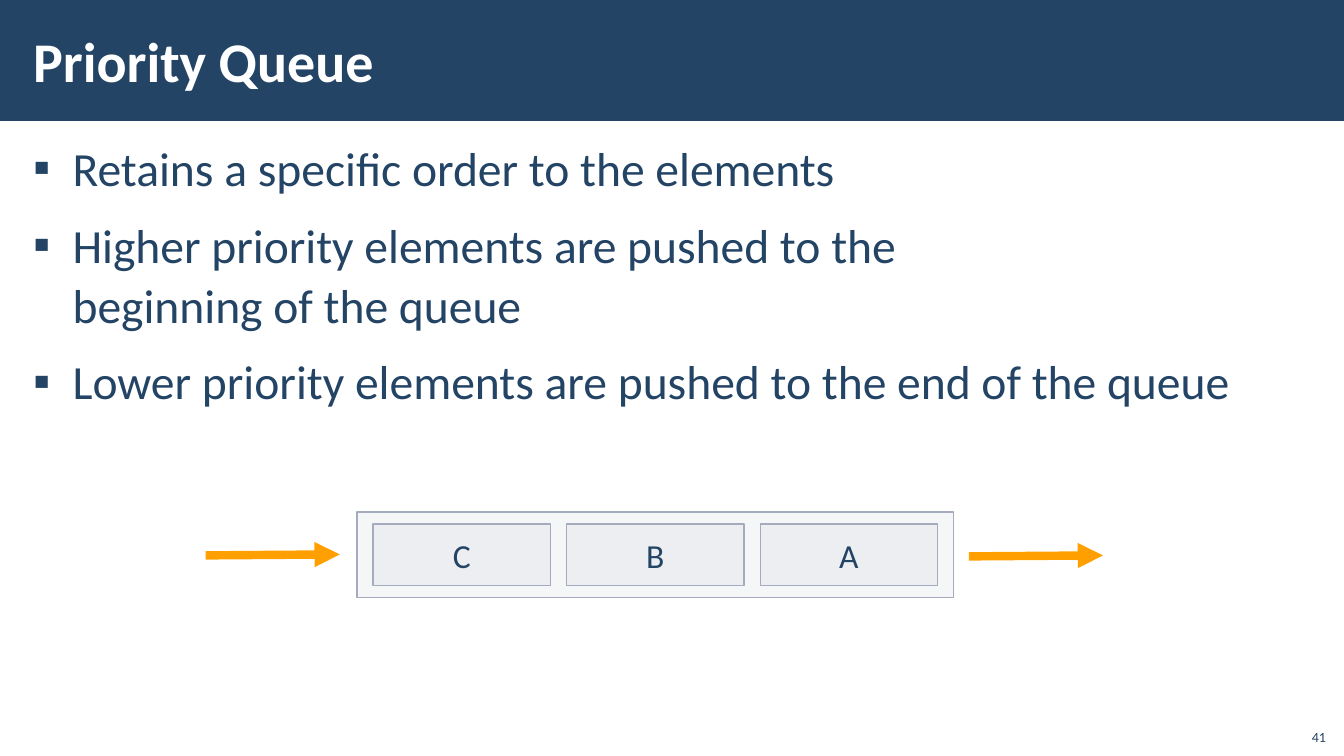
from lxml.etree import SubElement
from pptx import Presentation
from pptx.dml.color import RGBColor
from pptx.enum.shapes import MSO_CONNECTOR, MSO_SHAPE
from pptx.enum.text import MSO_ANCHOR, PP_ALIGN
from pptx.oxml.ns import qn
from pptx.util import Inches, Pt

NAVY = RGBColor(0x23, 0x44, 0x65)
WHITE = RGBColor(0xFF, 0xFF, 0xFF)
PALE = RGBColor(0xC2, 0xC7, 0xD2)
BORDER = RGBColor(0xA3, 0xAB, 0xBC)
ORANGE = RGBColor(0xFF, 0xA0, 0x00)
FONT = "Calibri"

POINTS = [
    "Retains a specific order to the elements",
    "Higher priority elements are pushed to the\nbeginning of the queue",
    "Lower priority elements are pushed to the end of the queue",
]
ELEMENTS = ["C", "B", "A"]


def style_text(paragraph, size, color=NAVY, bold=False, align=PP_ALIGN.LEFT):
    paragraph.alignment = align
    for run in paragraph.runs:
        run.font.name = FONT
        run.font.size = Pt(size)
        run.font.bold = bold
        run.font.color.rgb = color


def set_frame(frame, side, edge, anchor):
    frame.word_wrap = True
    frame.margin_left = frame.margin_right = Inches(side)
    frame.margin_top = frame.margin_bottom = Inches(edge)
    frame.vertical_anchor = anchor


def add_words(slide, left, top, width, height, side=0.12, edge=0.04, anchor=MSO_ANCHOR.TOP):
    words = slide.shapes.add_textbox(Inches(left), Inches(top), Inches(width), Inches(height))
    set_frame(words.text_frame, side, edge, anchor)
    return words.text_frame


def add_block(slide, left, top, width, height):
    block = slide.shapes.add_shape(
        MSO_SHAPE.RECTANGLE, Inches(left), Inches(top), Inches(width), Inches(height))
    block.shadow.inherit = False
    block.fill.solid()
    return block


def add_pale_block(slide, left, top, width, height):
    block = add_block(slide, left, top, width, height)
    block.fill.fore_color.rgb = PALE
    color = block.fill._xPr.find(qn("a:solidFill"))[0]
    SubElement(color, qn("a:alpha"), val="15000")
    block.line.color.rgb = BORDER
    block.line.width = Pt(1)
    return block


def add_arrow(slide, left, y, length):
    arrow = slide.shapes.add_connector(
        MSO_CONNECTOR.STRAIGHT, Inches(left), Inches(y), Inches(left + length), Inches(y - 0.01))
    arrow.line.color.rgb = ORANGE
    arrow.line.width = Pt(6)
    SubElement(arrow.line._get_or_add_ln(), qn("a:tailEnd"), type="triangle")
    SubElement(arrow._element.spPr, qn("a:effectLst"))


def add_header(slide, left, top, width, height):
    band = add_block(slide, left, top, width, height)
    band.fill.fore_color.rgb = NAVY
    band.line.fill.background()
    title = add_words(slide, left + 0.21, top + 0.11, 10.63, 0.97, anchor=MSO_ANCHOR.MIDDLE)
    title.text = "Priority Queue"
    style_text(title.paragraphs[0], 40, WHITE, bold=True)


def add_points(slide, left, top, width, height):
    body = add_words(slide, left, top, width, height)
    for index, point in enumerate(POINTS):
        paragraph = body.add_paragraph() if index else body.paragraphs[0]
        paragraph.text = point
        paragraph.line_spacing = 1.05
        paragraph.space_before = paragraph.space_after = Pt(6)
        style_text(paragraph, 34)
        properties = paragraph._p.get_or_add_pPr()
        properties.set("marL", str(Inches(0.39)))
        properties.set("indent", str(-Inches(0.39)))
        SubElement(properties, qn("a:buFont"), typeface=FONT)
        SubElement(properties, qn("a:buChar"), char="▪")


def add_queue(slide, left, top, width, height):
    add_pale_block(slide, left, top, width, height)
    pad, gap, cell_height = 0.16, 0.16, 0.61
    cell_width = (width - 2 * pad - (len(ELEMENTS) - 1) * gap) / len(ELEMENTS)
    for index, element in enumerate(ELEMENTS):
        cell = add_pale_block(
            slide, left + pad + index * (cell_width + gap),
            top + (height - cell_height) / 2, cell_width, cell_height)
        set_frame(cell.text_frame, 0.2, 0.1, MSO_ANCHOR.MIDDLE)
        cell.text_frame.text = element
        style_text(cell.text_frame.paragraphs[0], 24, align=PP_ALIGN.CENTER)
    arrow_length = 1.33
    add_arrow(slide, left - 0.17 - arrow_length, top + 0.43, arrow_length)
    add_arrow(slide, left + width + 0.15, top + 0.44, arrow_length)


def add_page_number(slide, left, top, width, height):
    number = add_words(slide, left, top, width, height, 0.1, 0.05, MSO_ANCHOR.BOTTOM)
    number.text = "41"
    style_text(number.paragraphs[0], 10, align=PP_ALIGN.RIGHT)


def main():
    deck = Presentation()
    deck.slide_width = Inches(13.33)
    deck.slide_height = Inches(7.5)
    slide = deck.slides.add_slide(deck.slide_layouts[6])
    add_header(slide, 0, 0, 13.33, 1.2)
    add_points(slide, 0.21, 1.31, 12.92, 6.05)
    add_queue(slide, 3.54, 5.08, 5.92, 0.85)
    add_page_number(slide, 12.85, 7.12, 0.4, 0.32)
    deck.save("out.pptx")


if __name__ == "__main__":
    main()
